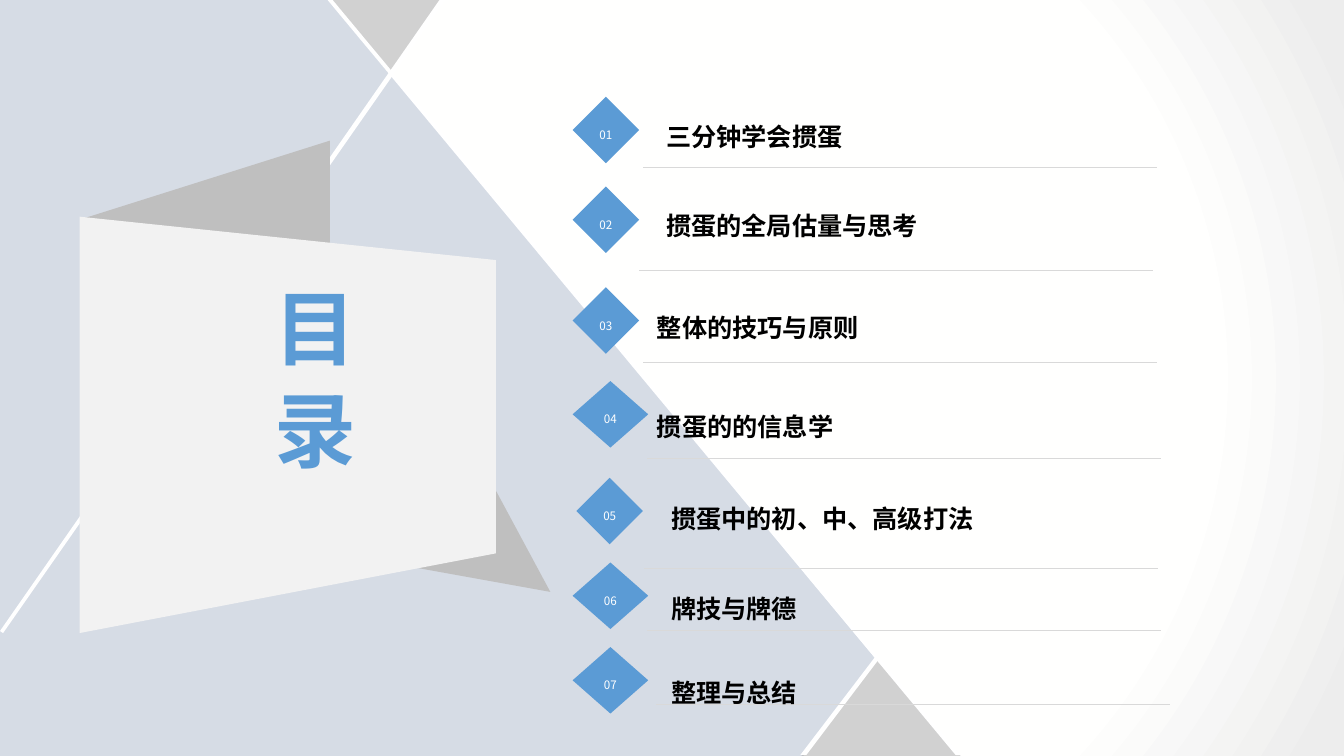
from lxml import etree
from pptx import Presentation
from pptx.dml.color import RGBColor
from pptx.enum.shapes import MSO_CONNECTOR, MSO_SHAPE as SHAPE
from pptx.enum.text import MSO_ANCHOR as ANCHOR, PP_ALIGN as ALIGN
from pptx.oxml import parse_xml
from pptx.oxml.ns import nsdecls, qn
from pptx.util import Pt

FONT = "Noto Sans CJK SC"
BLUE = "5B9BD5"
FOLD = "BFBFBF"
DIAMOND_HEIGHT = 47.5
RULE_LENGTH = 367

# title, wide diamond, diamond left and top, title left and top, rule left and top
CHAPTERS = [
    ("三分钟学会掼蛋", False, 409, 69.1, 468.7, 74.2, 459.4, 119.5),
    ("掼蛋的全局估量与思考", False, 409, 133.2, 468.7, 138.2, 456.5, 193),
    ("整体的技巧与原则", False, 409, 205.2, 462.2, 211, 459.4, 258.5),
    ("掼蛋的的信息学", True, 409, 272.2, 462.2, 281.5, 462.2, 327.6),
    ("掼蛋中的初、中、高级打法", False, 411.8, 341.3, 472.3, 347, 460.1, 406.1),
    ("牌技与牌德", True, 409, 401.8, 472.3, 411.8, 462.2, 450),
    ("整理与总结", True, 409, 462.2, 472.3, 471.6, 468.7, 503.3),
]

# colour, alpha in percent, corner points
BACKDROP = [
    ("D6DCE5", 100, [(0, 0), (235.4, 0), (625.7, 470.9), (573.8, 540), (0, 540), (0, 452.2)]),
    ("A5A5A5", 50, [(626.4, 471.6), (686.2, 540), (572.4, 540)]),
    ("A5A5A5", 50, [(235.4, 0), (315.4, 0), (277.9, 52.6)]),
    ("FFFFFF", 100, [(313.9, 0), (318.2, 0), (2.2, 452.2), (0, 450.7)]),
    ("FFFFFF", 100, [(234, 0), (237.6, 0), (686.2, 539.3), (682.6, 539.3)]),
    ("FFFFFF", 100, [(625, 469.4), (627.8, 470.9), (576, 539.3), (571.7, 539.3)]),
]
PANEL = [(56.9, 154.8), (354.2, 185.8), (354.2, 395.3), (56.9, 452.2)]


def rgb(value):
    return RGBColor.from_string(value)


def paint(shape, colour, alpha=100):
    shape.shadow.inherit = False
    shape.line.fill.background()
    shape.fill.solid()
    shape.fill.fore_color.rgb = rgb(colour)
    if alpha < 100:
        solid = shape._element.spPr.find(qn("a:solidFill"))
        etree.SubElement(solid[0], qn("a:alpha"), val=str(alpha * 1000))


def add_preset(page, kind, left, top, width, height, colour, rotation=0):
    shape = page.shapes.add_shape(kind, Pt(left), Pt(top), Pt(width), Pt(height))
    shape.rotation = rotation
    paint(shape, colour)
    return shape


def add_polygon(page, points, colour, alpha=100):
    corners = [(Pt(x), Pt(y)) for x, y in points]
    builder = page.shapes.build_freeform(*corners[0])
    builder.add_line_segments(corners[1:], close=True)
    paint(builder.convert_to_shape(), colour, alpha)


def add_glow(page):
    """Cover the page with a radial gradient that darkens towards its corners."""
    glow = add_preset(page, SHAPE.RECTANGLE, 0, 0, 960, 540, "FFFFFE")
    stops = "".join(
        f'<a:gs pos="{position * 1000}"><a:srgbClr val="{colour}"/></a:gs>'
        for position, colour in [(0, "FFFFFE"), (23, "FFFFFE"), (69, "FFFFFE"), (97, "EDEDED")]
    )
    gradient = parse_xml(
        f'<a:gradFill {nsdecls("a")} rotWithShape="1"><a:gsLst>{stops}</a:gsLst>'
        '<a:path path="circle"><a:fillToRect l="50000" t="50000" r="50000" b="50000"/>'
        "</a:path></a:gradFill>"
    )
    properties = glow._element.spPr
    properties.replace(properties.find(qn("a:solidFill")), gradient)


def write(shape, text, size, colour, spacing, align=ALIGN.LEFT, bold=False):
    frame = shape.text_frame
    frame.word_wrap = True
    frame.vertical_anchor = ANCHOR.MIDDLE
    para = frame.paragraphs[0]
    para.text = text
    para.alignment = align
    para.line_spacing = spacing
    font = para.runs[0].font
    font.name, font.size, font.bold = FONT, Pt(size), bold
    font.color.rgb = rgb(colour)
    etree.SubElement(font._element, qn("a:ea"), typeface=FONT)


def add_text(page, left, top, width, height, *style, **options):
    box = page.shapes.add_textbox(Pt(left), Pt(top), Pt(width), Pt(height))
    write(box, *style, **options)
    return box


def add_rule(page, left, top):
    rule = page.shapes.add_connector(
        MSO_CONNECTOR.STRAIGHT, Pt(left), Pt(top), Pt(left + RULE_LENGTH), Pt(top))
    rule.line.color.rgb = rgb("D9D9D9")
    rule.line.width = Pt(0.25)
    etree.SubElement(rule._element.spPr, qn("a:effectLst"))


def add_number(page, number, left, top, wide):
    width = 54 if wide else DIAMOND_HEIGHT
    diamond = add_preset(page, SHAPE.DIAMOND, left, top, width, DIAMOND_HEIGHT, BLUE)
    frame = diamond.text_frame
    frame.margin_left = frame.margin_right = frame.margin_top = frame.margin_bottom = 0
    write(diamond, f"{number:02}", 8.3, "FFFFFF", 1.7, ALIGN.CENTER)


def add_banner(page):
    add_preset(page, SHAPE.RIGHT_TRIANGLE, 302.4, 285.1, 103, 129.6, FOLD, 10.2)
    add_preset(page, SHAPE.ISOSCELES_TRIANGLE, 90.7, 67.7, 112.3, 177.8, FOLD, 270)
    add_polygon(page, PANEL, "F2F2F2")
    heading = add_text(page, 158.4, 198, 152.6, 167, "目 录", 58.5, BLUE, 1.7,
                       align=ALIGN.RIGHT, bold=True)
    heading.text_frame.vertical_anchor = ANCHOR.TOP
    heading.text_frame._txBody.bodyPr.set("vert", "eaVert")


def main():
    deck = Presentation()
    deck.slide_width, deck.slide_height = Pt(960), Pt(540)
    page = deck.slides.add_slide(deck.slide_layouts[6])
    add_glow(page)
    for colour, alpha, points in BACKDROP:
        add_polygon(page, points, colour, alpha)
    add_banner(page)
    for number, chapter in enumerate(CHAPTERS, 1):
        title, wide, left, top, title_left, title_top, rule_left, rule_top = chapter
        add_rule(page, rule_left, rule_top)
        add_number(page, number, left, top, wide)
        add_text(page, title_left, title_top, 412 if wide else 366.5, 35.3,
                 title, 18, "000000", 1.5, bold=True)
    deck.save("out.pptx")


if __name__ == "__main__":
    main()
